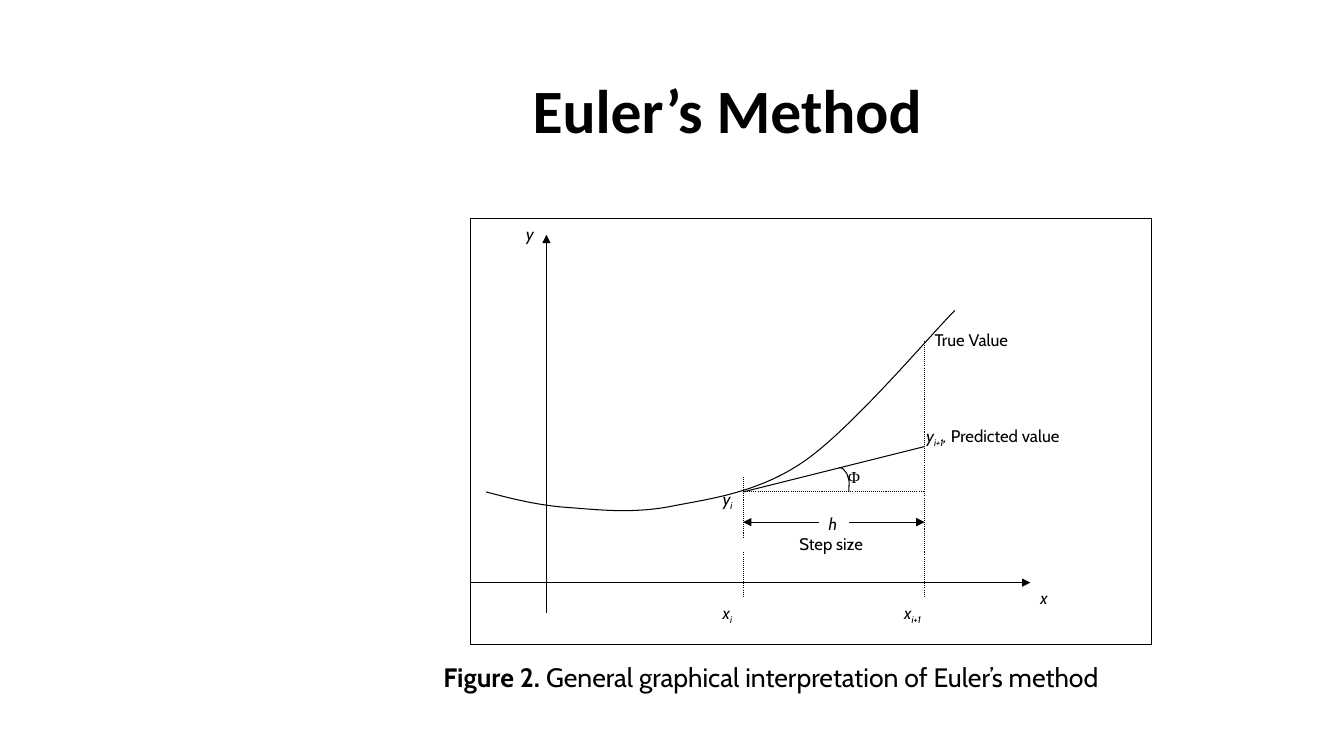
"""Builds the Euler's method slide: a title, a framed step diagram and its caption."""
from dataclasses import dataclass
from typing import NamedTuple

from lxml import etree
from pptx import Presentation
from pptx.dml.color import RGBColor
from pptx.enum.dml import MSO_LINE
from pptx.enum.shapes import MSO_CONNECTOR, MSO_SHAPE
from pptx.enum.text import MSO_ANCHOR, PP_ALIGN
from pptx.oxml.ns import qn
from pptx.shapes.shapetree import SlideShapes
from pptx.util import Emu, Pt

STRAIGHT = MSO_CONNECTOR.STRAIGHT
RECTANGLE = MSO_SHAPE.RECTANGLE
DOTTED = MSO_LINE.ROUND_DOT
TOP, MIDDLE = MSO_ANCHOR.TOP, MSO_ANCHOR.MIDDLE
LEFT, CENTER = PP_ALIGN.LEFT, PP_ALIGN.CENTER
PX = 9144


@dataclass(frozen=True)
class Theme:
    ink: RGBColor = RGBColor(0, 0, 0)
    heading_font: str = "Calibri"
    body_font: str = "Cabin"
    symbol_font: str = "Times New Roman"
    title_size: int = 44
    caption_size: int = 19
    label_size: int = 12
    stroke: float = 0.75


THEME = Theme()


class Point(NamedTuple):
    x: int
    y: int


class Run(NamedTuple):
    text: str
    subscript: bool = False
    bold: bool | None = None
    italic: bool | None = None


@dataclass(frozen=True)
class Label:
    left: int
    top: int
    width: int
    height: int
    runs: tuple[Run, ...]
    italic: bool = False
    bold: bool = False
    font: str = THEME.body_font
    size: int = THEME.label_size
    align: PP_ALIGN = LEFT
    anchor: MSO_ANCHOR = TOP
    spacing: float = 1.0


@dataclass(frozen=True)
class Segment:
    start: Point
    end: Point
    arrow: bool = False
    dotted: bool = False


X_I, X_NEXT = 737, 917
Y_I, Y_PREDICTED, Y_TRUE = 488, 443, 338
STEP_Y, STEP_LEFT, STEP_RIGHT = 518, 812, 842
AXIS_Y, GUIDE_SPLIT, GUIDE_END = 578, 548, 593
FRAME = (467, 217, 675, 422)

SEGMENTS = (
    Segment(Point(542, 608), Point(542, 233), arrow=True),
    Segment(Point(467, AXIS_Y), Point(1022, AXIS_Y), arrow=True),
    Segment(Point(X_I, 473), Point(X_I, 533), dotted=True),
    Segment(Point(X_NEXT, Y_TRUE), Point(X_NEXT, GUIDE_SPLIT), dotted=True),
    Segment(Point(X_I, GUIDE_SPLIT), Point(X_I, GUIDE_END), dotted=True),
    Segment(Point(X_NEXT, GUIDE_SPLIT), Point(X_NEXT, GUIDE_END), dotted=True),
    Segment(Point(X_I, Y_I), Point(X_NEXT, Y_I), dotted=True),
    Segment(Point(X_I, Y_I), Point(X_NEXT, Y_PREDICTED)),
    Segment(Point(STEP_LEFT, 503), Point(STEP_LEFT, 503), arrow=True),
    Segment(Point(STEP_LEFT, STEP_Y), Point(X_I, STEP_Y), arrow=True),
    Segment(Point(STEP_RIGHT, STEP_Y), Point(X_NEXT, STEP_Y), arrow=True),
)

TRUE_CURVE = (
    Point(482, 488), Point(505, 494), Point(527, 500), Point(557, 503),
    Point(587, 505), Point(622, 510), Point(662, 503),
    Point(702, 495), Point(750, 490), Point(797, 458),
    Point(845, 425), Point(922, 333), Point(947, 308),
)
ANGLE_ARC = (
    Point(832, 464), Point(833, 464), Point(835, 464), Point(836, 465),
    Point(837, 466), Point(840, 470), Point(840, 470),
    Point(843, 480), Point(842, 474), Point(842, 488),
)

LABELS = (
    Label(201, 40, 1041, 145, (Run("Euler’s Method"),), bold=True,
          font=THEME.heading_font, size=THEME.title_size, align=CENTER,
          anchor=MIDDLE, spacing=0.9),
    Label(831, 458, 45, 45, (Run("Φ"),), font=THEME.symbol_font),
    Label(783, 525, 105, 45, (Run("Step size"),)),
    Label(812, 505, 45, 45, (Run("h"),), italic=True),
    Label(917, 322, 119, 46, (Run("True Value"),)),
    Label(909, 417, 218, 40,
          (Run("y"), Run("i+1", subscript=True), Run(","),
           Run(" Predicted value", italic=False)), italic=True),
    Label(707, 480, 45, 40, (Run("y"), Run("i", subscript=True)), italic=True),
    Label(1022, 578, 45, 45, (Run("x"),), italic=True),
    Label(512, 217, 45, 45, (Run("y"),), italic=True),
    Label(707, 593, 60, 45, (Run("x"), Run("i", subscript=True)), italic=True),
    Label(887, 593, 60, 45, (Run("x"), Run("i+1", subscript=True)), italic=True),
    Label(430, 650, 736, 42,
          (Run("Figure 2.", bold=True),
           Run(" General graphical interpretation of Euler’s method")),
          size=THEME.caption_size, anchor=MIDDLE),
)


def px(length: int) -> Emu:
    """Turn px into EMU."""
    return Emu(length * PX)


def draw_frame(shapes: SlideShapes) -> None:
    """Draw the border around the diagram."""
    frame = shapes.add_shape(RECTANGLE, *map(px, FRAME))
    frame.shadow.inherit = False
    frame.fill.background()
    frame.line.color.rgb = THEME.ink
    frame.line.width = Pt(THEME.stroke)


def draw_segment(shapes: SlideShapes, segment: Segment) -> None:
    """Draw a straight line, dotted or with an arrowhead at its end."""
    connector = shapes.add_connector(STRAIGHT, *map(px, segment.start + segment.end))
    connector.line.color.rgb = THEME.ink
    connector.line.width = Pt(THEME.stroke)
    if segment.dotted:
        connector.line.dash_style = DOTTED
    properties = connector._element.spPr
    if segment.arrow:
        etree.SubElement(properties.find(qn("a:ln")), qn("a:tailEnd"), type="triangle")
    etree.SubElement(properties, qn("a:effectLst"))


def draw_curve(shapes: SlideShapes, points: tuple[Point, ...]) -> None:
    """Draw a chain of cubic curves: a start, then three points for each curve."""
    builder = shapes.build_freeform(*points[0], scale=PX)
    builder.add_line_segments(points[1:], close=False)
    curve = builder.convert_to_shape()
    curve.shadow.inherit = False
    curve.fill.background()
    curve.line.color.rgb = THEME.ink
    curve.line.width = Pt(THEME.stroke)
    steps = list(curve._element.iter(qn("a:lnTo")))
    for first in range(0, len(steps), 3):
        bezier = etree.Element(qn("a:cubicBezTo"))
        steps[first].addprevious(bezier)
        for step in steps[first:first + 3]:
            bezier.append(step[0])
            step.getparent().remove(step)


def draw_label(shapes: SlideShapes, label: Label) -> None:
    """Write one line of text in its box."""
    box = shapes.add_textbox(*map(px, (label.left, label.top, label.width, label.height)))
    frame = box.text_frame
    frame.word_wrap = True
    frame.vertical_anchor = label.anchor
    paragraph = frame.paragraphs[0]
    paragraph.alignment = label.align
    paragraph.line_spacing = label.spacing
    font = paragraph.font
    font.name, font.size = label.font, Pt(label.size)
    font.bold, font.italic = label.bold, label.italic
    font.color.rgb = THEME.ink
    for part in label.runs:
        run = paragraph.add_run()
        run.text = part.text
        if part.bold is not None:
            run.font.bold = part.bold
        if part.italic is not None:
            run.font.italic = part.italic
        if part.subscript:
            run._r.get_or_add_rPr().set("baseline", "-25000")


def main() -> None:
    """Build and save the slide."""
    deck = Presentation()
    deck.slide_width, deck.slide_height = px(1333), px(750)
    shapes = deck.slides.add_slide(deck.slide_layouts[6]).shapes
    draw_frame(shapes)
    for points in (TRUE_CURVE, ANGLE_ARC):
        draw_curve(shapes, points)
    for segment in SEGMENTS:
        draw_segment(shapes, segment)
    for label in LABELS:
        draw_label(shapes, label)
    deck.save("out.pptx")


if __name__ == "__main__":
    main()
